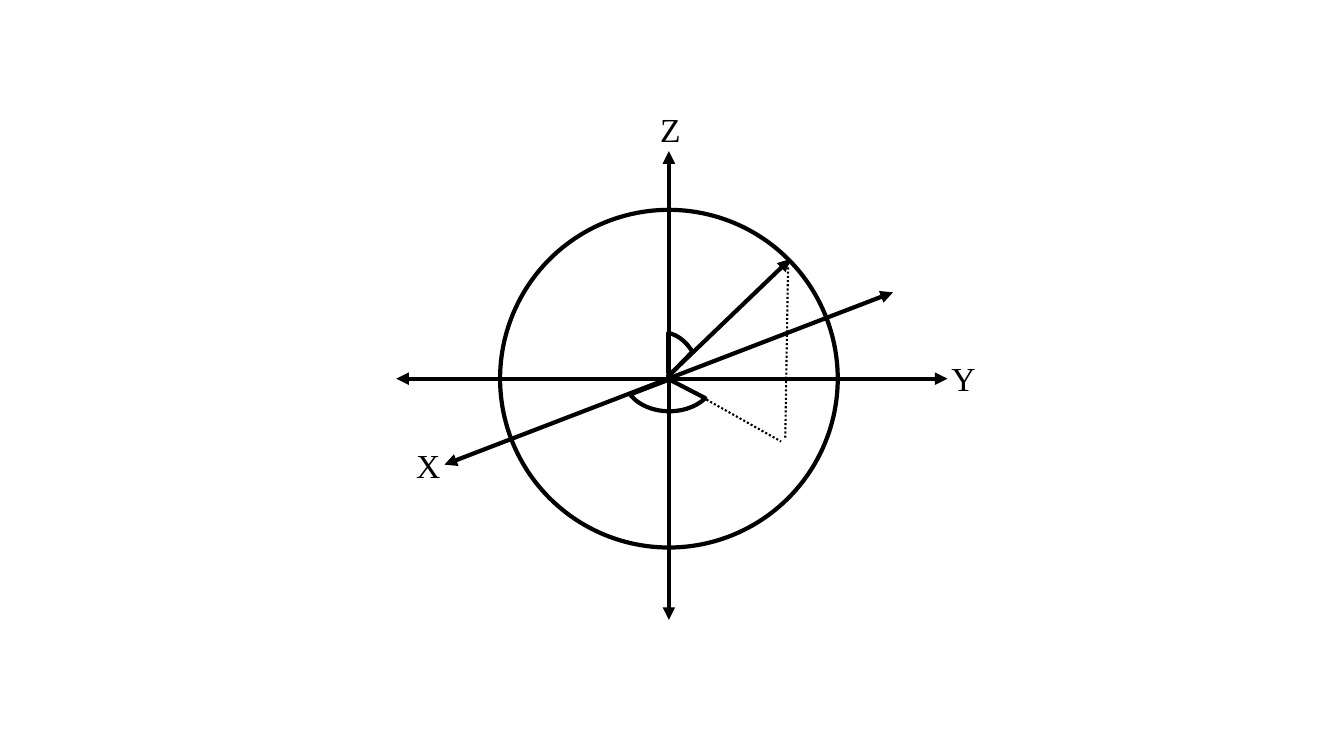
import pptx
import pptx.util
import pptx.dml.color
import pptx.enum.dml
import pptx.enum.shapes
from dataclasses import dataclass
from lxml import etree
from pptx.oxml.ns import qn

Pt = pptx.util.Pt
Form = pptx.enum.shapes.MSO_SHAPE
Dash = pptx.enum.dml.MSO_LINE


@dataclass
class Theme:
    ink: pptx.dml.color.RGBColor = pptx.dml.color.RGBColor(0, 0, 0)
    font: str = "Times New Roman"
    size: float = 24
    bold: float = 3
    thin: float = 1.5


class Chart:
    """Draws line figures on one slide in a single style."""

    def __init__(self, slide, theme):
        self.slide = slide
        self.theme = theme

    def ink(self, line, width):
        line.color.rgb = self.theme.ink
        line.width = Pt(width)

    def shape(self, form, left, top, width, height, turn=0, arc=()):
        item = self.slide.shapes.add_shape(
            form, Pt(left), Pt(top), Pt(width), Pt(height))
        item.shadow.inherit = False
        item.fill.background()
        self.ink(item.line, self.theme.bold)
        item.rotation = turn
        for i, angle in enumerate(arc):
            # Pie angles are stored in 1/60000 degree, set in units of 100000.
            item.adjustments[i] = angle * 0.6
        return item

    def line(self, start, end, width, ends=()):
        """Draw a line; ends may hold "headEnd" (start) and "tailEnd" (end)."""
        item = self.slide.shapes.add_connector(
            pptx.enum.shapes.MSO_CONNECTOR.STRAIGHT,
            Pt(start[0]), Pt(start[1]), Pt(end[0]), Pt(end[1]))
        self.ink(item.line, width)
        pen = item.line._get_or_add_ln()
        for end_tag in ends:
            etree.SubElement(pen, qn("a:" + end_tag), type="triangle")
        etree.SubElement(item._element.spPr, qn("a:effectLst"))
        return item

    def axis(self, start, end):
        return self.line(start, end, self.theme.bold, ("headEnd", "tailEnd"))

    def arrow(self, start, end):
        return self.line(start, end, self.theme.bold, ("tailEnd",))

    def dots(self, start, end):
        item = self.line(start, end, self.theme.thin)
        item.line.dash_style = Dash.ROUND_DOT
        return item

    def label(self, text, left, top):
        box = self.slide.shapes.add_textbox(Pt(left), Pt(top), Pt(27.4), Pt(36))
        frame = box.text_frame
        frame.word_wrap = True
        frame.text = text
        font = frame.paragraphs[0].runs[0].font
        font.name = self.theme.font
        font.size = Pt(self.theme.size)
        font.color.rgb = self.theme.ink


def main():
    deck = pptx.Presentation()
    deck.slide_width, deck.slide_height = Pt(960), Pt(540)
    slide = deck.slides.add_slide(deck.slide_layouts[6])
    chart = Chart(slide, Theme())

    mid_x, mid_y, radius = 477.8, 270.5, 120.6
    chart.shape(Form.OVAL, mid_x - radius, mid_y - radius,
                2 * radius, 2 * radius)

    axes = [((283, mid_y), (676.8, mid_y)),
            ((317.5, 331.9), (637.9, 208.8)),
            ((mid_x, 442.8), (mid_x, 108))]
    for start, end in axes:
        chart.axis(start, end)

    for text, left, top in [("X", 290.2, 313.9), ("Z", 464.4, 74.2),
                            ("Y", 672.5, 252)]:
        chart.label(text, left, top)

    chart.arrow((476.6, 269.3), (564.5, 185))
    chart.dots((563, 185), (560.9, 313.9))
    chart.dots((475.9, 269.3), (558, 315.4))

    chart.shape(Form.PIE, 446.4, 248.4, 63.4, 45.4, arc=(27.38, 159.06))
    chart.shape(Form.PIE, 445.7, 246.2, 63.4, 45.4, 77.4, (192.3, 236.74))

    deck.save("out.pptx")


if __name__ == "__main__":
    main()
